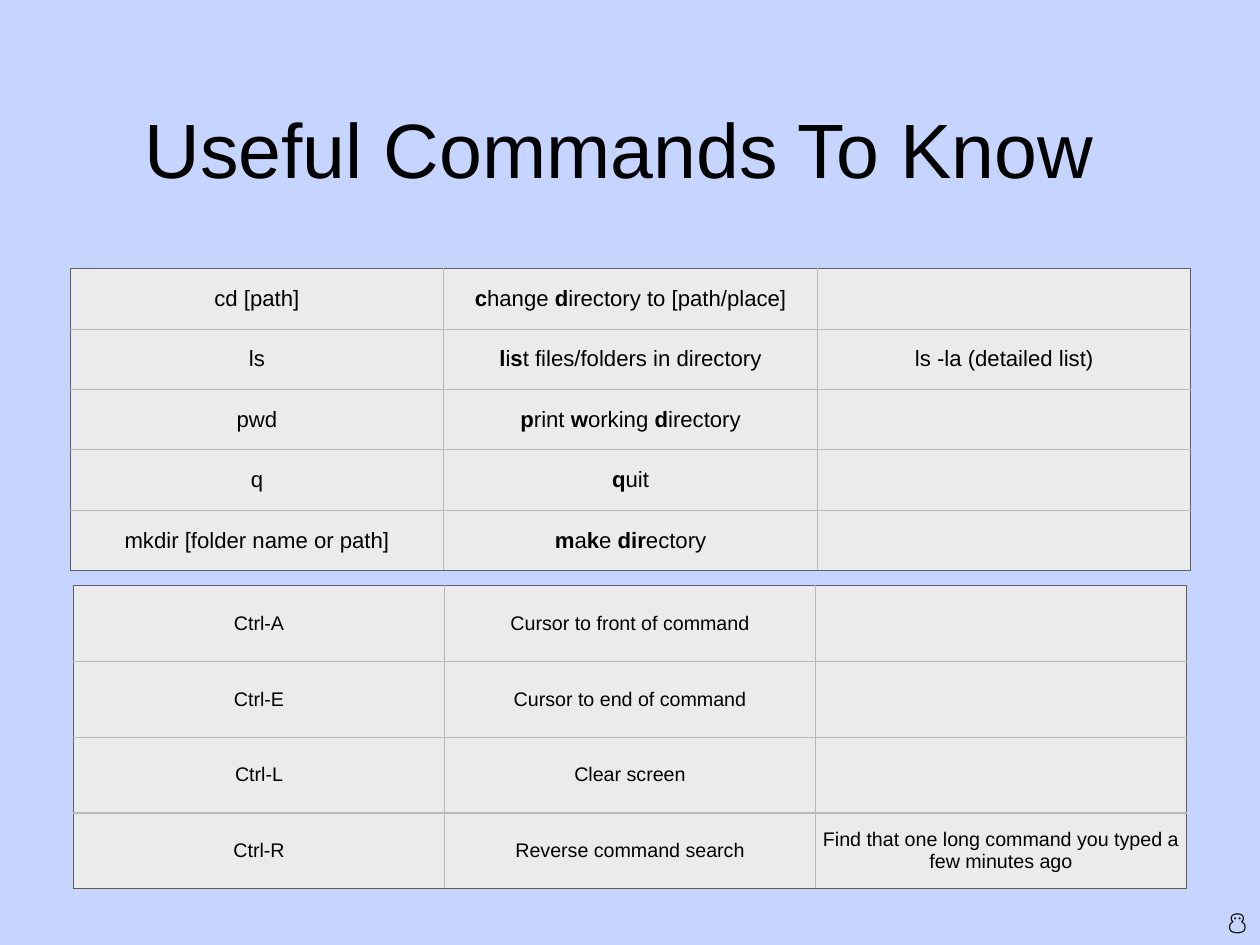
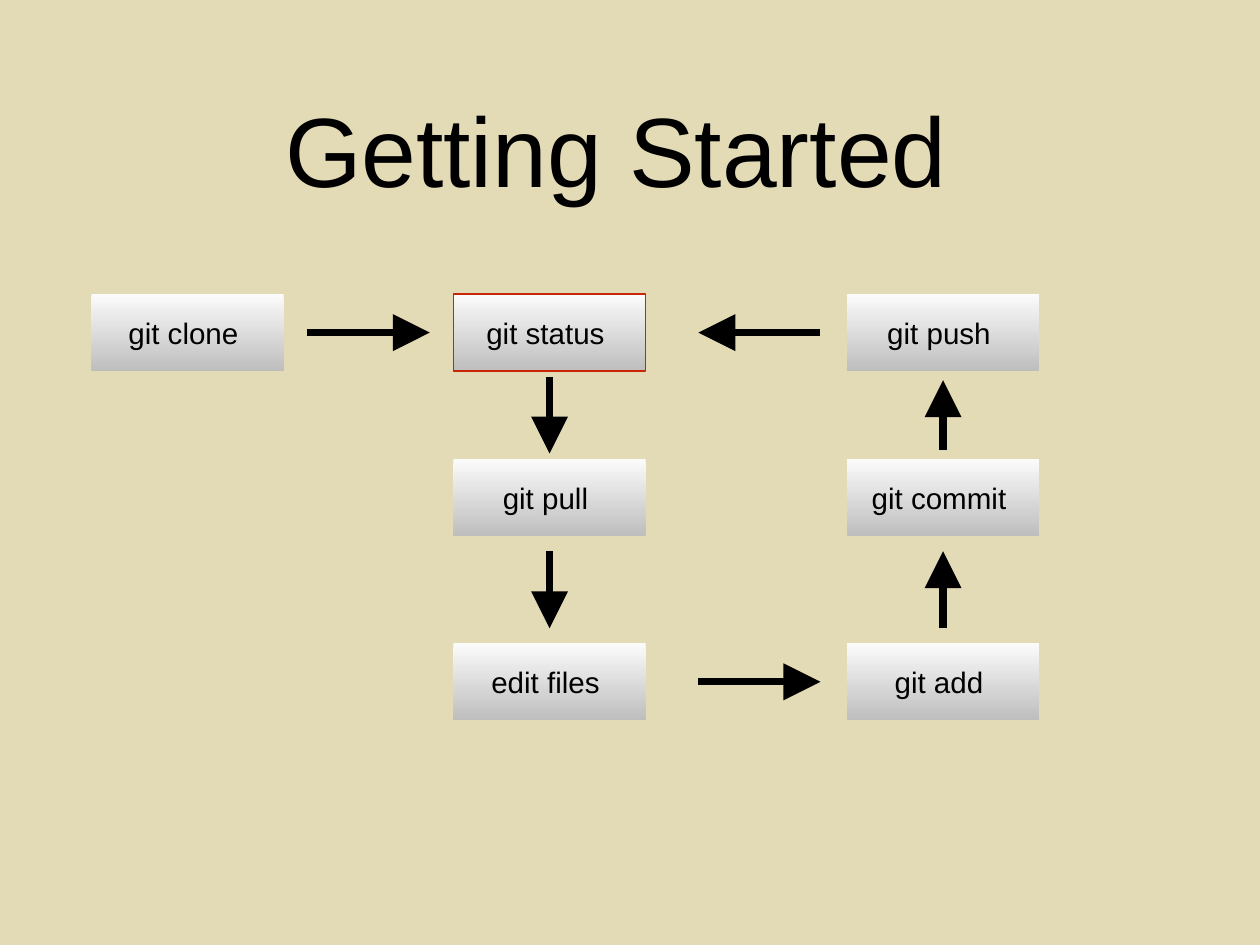
from dataclasses import dataclass

from lxml.etree import SubElement
from pptx import Presentation
from pptx.dml.color import RGBColor
from pptx.enum.shapes import MSO_CONNECTOR, MSO_SHAPE
from pptx.enum.text import MSO_ANCHOR, MSO_AUTO_SIZE, PP_ALIGN
from pptx.oxml.ns import qn
from pptx.slide import Slide
from pptx.text.text import TextFrame
from pptx.util import Cm, Pt

BLACK = RGBColor(0x00, 0x00, 0x00)
SKY = RGBColor(0xC6, 0xD5, 0xFF)
SAND = RGBColor(0xE3, 0xDA, 0xB6)
CELL_GREY = RGBColor(0xEB, 0xEB, 0xEB)
OUTLINE_GREY = RGBColor(0x60, 0x60, 0x60)
GRID_GREY = RGBColor(0xB8, 0xB8, 0xB8)
STEP_TOP = RGBColor(0xFB, 0xFB, 0xFB)
STEP_BOTTOM = RGBColor(0xBE, 0xBE, 0xBE)
HIGHLIGHT = RGBColor(0xC8, 0x25, 0x06)

FONT = "Arial"
INSET = Cm(0.14)
TITLE_ONLY = 5

STEP_WIDTH, STEP_HEIGHT = 5.51, 2.21
STEP_COLUMNS = (2.62, 13.0, 24.28)
STEP_ROWS = (8.43, 13.16, 18.44)


@dataclass(frozen=True)
class CommandTable:
    left: float
    top: float
    width: float
    height: float
    size: float
    rows: tuple[tuple[str, str, str], ...]


@dataclass(frozen=True)
class Step:
    label: str
    column: int
    row: int
    highlighted: bool = False


@dataclass(frozen=True)
class AcrossArrow:
    row: int
    start: float
    end: float


@dataclass(frozen=True)
class VerticalArrow:
    column: int
    start: float
    end: float


SHORTCUTS = CommandTable(2.11, 16.79, 31.9, 8.69, 16, (
    ("Ctrl-A", "Cursor to front of command", ""),
    ("Ctrl-E", "Cursor to end of command", ""),
    ("Ctrl-L", "Clear screen", ""),
    ("Ctrl-R", "Reverse command search",
     "Find that one long command you typed a few minutes ago"),
))
COMMANDS = CommandTable(2.01, 7.7, 32.13, 8.66, 18, (
    ("cd [path]", "*c*hange *d*irectory to [path/place]", ""),
    ("ls", "*l*i*s*t files/folders in directory", "ls -la (detailed list)"),
    ("pwd", "*p*rint *w*orking *d*irectory", ""),
    ("q", "*q*uit", ""),
    ("mkdir [folder name or path]", "*m*a*k*e *dir*ectory", ""),
))
STEPS = (
    Step("git clone ", 0, 0),
    Step("git status ", 1, 0, highlighted=True),
    Step("git pull ", 1, 1),
    Step("edit files ", 1, 2),
    Step("git add ", 2, 2),
    Step("git commit ", 2, 1),
    Step("git push ", 2, 0),
)
ACROSS_ARROWS = (
    AcrossArrow(0, 8.81, 12.32),
    AcrossArrow(2, 20.02, 23.52),
    AcrossArrow(0, 23.52, 20.02),
)
VERTICAL_ARROWS = (
    VerticalArrow(1, 10.8, 13.0),
    VerticalArrow(1, 15.8, 18.01),
    VerticalArrow(2, 18.01, 15.8),
    VerticalArrow(2, 12.9, 10.9),
)


def write_text(frame: TextFrame, text: str, *, size: float,
               align: PP_ALIGN = PP_ALIGN.CENTER) -> None:
    """Write text, with the parts between asterisks in bold."""
    frame.word_wrap = True
    frame.auto_size = MSO_AUTO_SIZE.NONE
    frame.vertical_anchor = MSO_ANCHOR.MIDDLE
    frame.margin_left = frame.margin_right = INSET
    frame.margin_top = frame.margin_bottom = INSET
    paragraph = frame.paragraphs[0]
    paragraph.alignment = align
    for index, part in enumerate(text.split("*")):
        if part:
            run = paragraph.add_run()
            run.text = part
            run.font.name = FONT
            run.font.size = Pt(size)
            run.font.bold = index % 2 == 1
            run.font.color.rgb = BLACK


def add_titled_slide(deck: Presentation, title: str, *, size: float,
                     background: RGBColor) -> Slide:
    slide = deck.slides.add_slide(deck.slide_layouts[TITLE_ONLY])
    slide.background.fill.solid()
    slide.background.fill.fore_color.rgb = background
    heading = slide.shapes.title
    heading.left, heading.top = Cm(2.64), Cm(1.24)
    heading.width, heading.height = Cm(30.84), Cm(6)
    write_text(heading.text_frame, title, size=size)
    return slide


def add_border(cell, side: str, color: RGBColor) -> None:
    properties = cell._tc.get_or_add_tcPr()
    border = SubElement(properties, qn(f"a:ln{side}"), w=str(Pt(1)))
    fill = SubElement(border, qn("a:solidFill"))
    SubElement(fill, qn("a:srgbClr"), val=str(color))


def add_command_table(slide: Slide, content: CommandTable) -> None:
    row_count, column_count = len(content.rows), len(content.rows[0])
    grid = slide.shapes.add_table(
        row_count, column_count, Cm(content.left), Cm(content.top),
        Cm(content.width), Cm(content.height)).table
    grid.first_row = grid.horz_banding = False
    for r, row in enumerate(content.rows):
        for c, text in enumerate(row):
            cell = grid.cell(r, c)
            outer_sides = {"L": c == 0, "R": c == column_count - 1,
                           "T": r == 0, "B": r == row_count - 1}
            for side, is_outer in outer_sides.items():
                add_border(cell, side, OUTLINE_GREY if is_outer else GRID_GREY)
            cell.fill.solid()
            cell.fill.fore_color.rgb = CELL_GREY
            cell.margin_left = cell.margin_right = INSET
            cell.margin_top = cell.margin_bottom = INSET
            cell.vertical_anchor = MSO_ANCHOR.MIDDLE
            if text:
                write_text(cell.text_frame, text, size=content.size)


def add_step(slide: Slide, step: Step) -> None:
    box = slide.shapes.add_shape(
        MSO_SHAPE.RECTANGLE, Cm(STEP_COLUMNS[step.column]),
        Cm(STEP_ROWS[step.row]), Cm(STEP_WIDTH), Cm(STEP_HEIGHT))
    box.shadow.inherit = False
    box.fill.gradient()
    box.fill.gradient_angle = 270
    for stop, color in zip(box.fill.gradient_stops, (STEP_TOP, STEP_BOTTOM)):
        stop.color.rgb = color
    if step.highlighted:
        box.line.color.rgb = HIGHLIGHT
        box.line.width = Pt(1.25)
    else:
        box.line.fill.background()
    write_text(box.text_frame, step.label, size=24)


def add_arrow(slide: Slide, start: tuple[float, float],
              end: tuple[float, float]) -> None:
    arrow = slide.shapes.add_connector(
        MSO_CONNECTOR.STRAIGHT, *(Cm(value) for value in start + end))
    arrow.line.color.rgb = BLACK
    arrow.line.width = Pt(6)
    properties = arrow.element.spPr
    SubElement(properties.find(qn("a:ln")), qn("a:tailEnd"),
               type="triangle", w="lg", len="lg")
    SubElement(properties, qn("a:effectLst"))


def build_commands_slide(deck: Presentation) -> None:
    slide = add_titled_slide(deck, "Useful Commands To Know ", size=62.6,
                             background=SKY)
    for content in (SHORTCUTS, COMMANDS):
        add_command_table(slide, content)
    snowman = slide.shapes.add_textbox(Cm(34.98), Cm(25.7), Cm(1.12), Cm(1.3))
    write_text(snowman.text_frame, "⛄️", size=20, align=PP_ALIGN.LEFT)


def build_workflow_slide(deck: Presentation) -> None:
    slide = add_titled_slide(deck, "Getting Started ", size=80,
                             background=SAND)
    for step in STEPS:
        add_step(slide, step)
    for arrow in ACROSS_ARROWS:
        y = STEP_ROWS[arrow.row] + STEP_HEIGHT / 2
        add_arrow(slide, (arrow.start, y), (arrow.end, y))
    for arrow in VERTICAL_ARROWS:
        x = STEP_COLUMNS[arrow.column] + STEP_WIDTH / 2
        add_arrow(slide, (x, arrow.start), (x, arrow.end))


def main() -> None:
    deck = Presentation()
    deck.slide_width, deck.slide_height = Cm(36.12), Cm(27.09)
    build_commands_slide(deck)
    build_workflow_slide(deck)
    deck.save("out.pptx")


if __name__ == "__main__":
    main()
